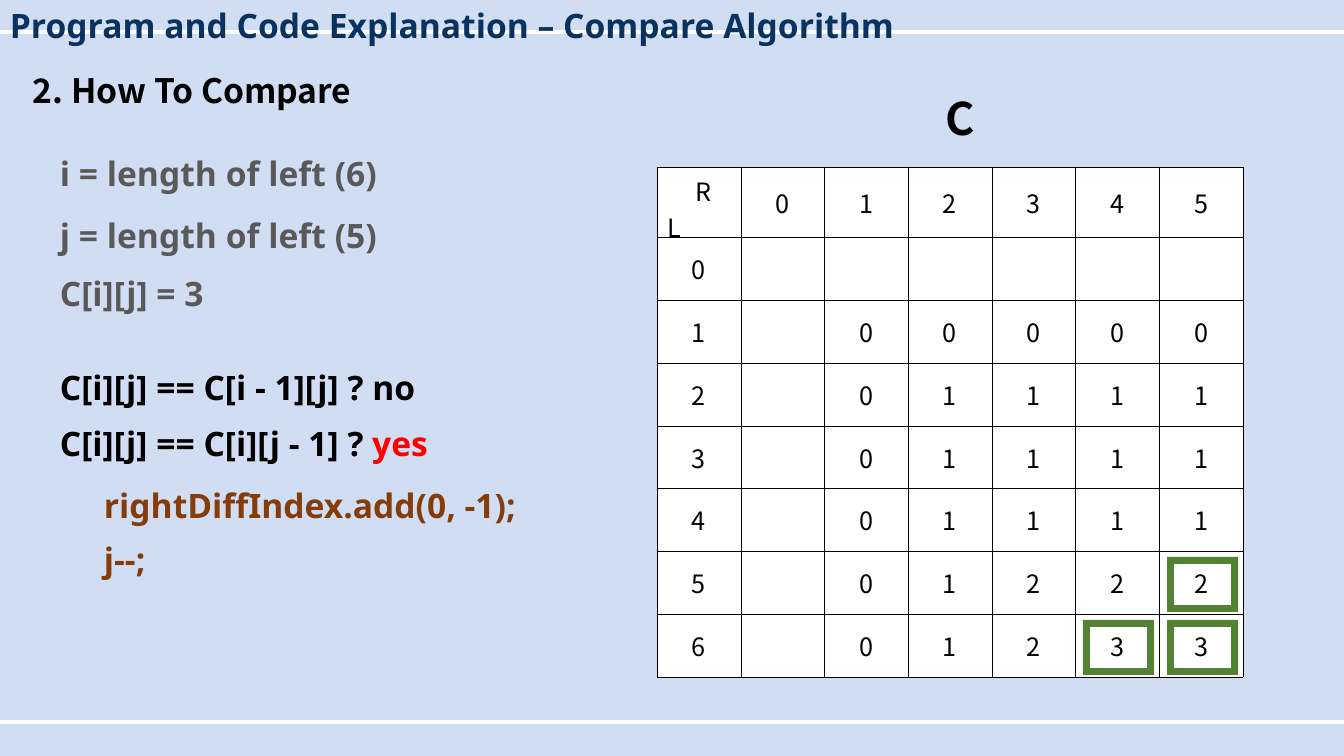
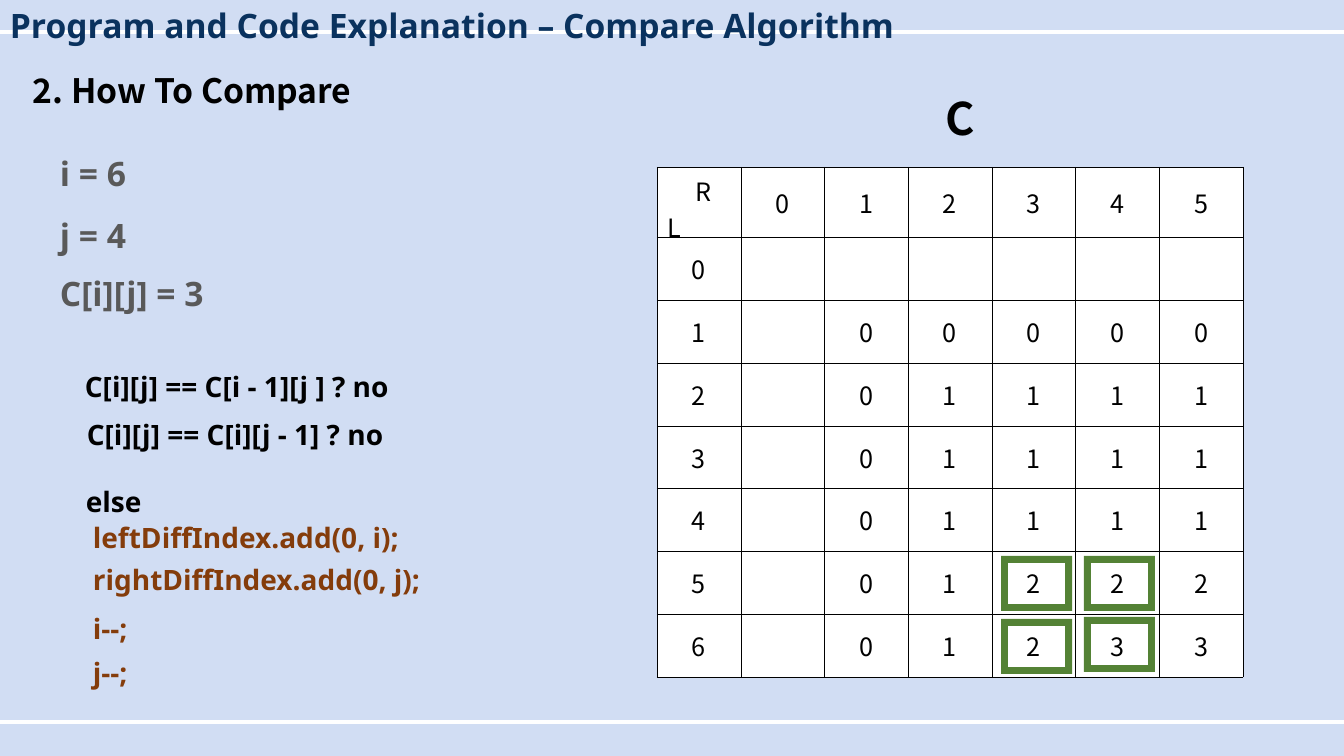
import pptx
import pptx.util
import pptx.dml.color
import pptx.enum.shapes
import pptx.enum.text
import pptx.oxml.ns
import lxml.etree

RGB = pptx.dml.color.RGBColor
BACKGROUND = RGB(0xD1, 0xDD, 0xF3)
WHITE = RGB(0xFF, 0xFF, 0xFF)
BLACK = RGB(0, 0, 0)
NAVY = RGB(0x0A, 0x32, 0x5E)
GRAY = RGB(0x59, 0x59, 0x59)
BROWN = RGB(0x84, 0x3C, 0x0B)
RED = RGB(0xFF, 0, 0)
GREEN = RGB(0x54, 0x82, 0x35)
SANS = "Noto Sans"
CJK = "Noto Sans CJK KR"

SLIDE_W, SLIDE_H = 1344, 756
RULE_TOPS = (32, 722)
TABLE_X, TABLE_Y, TABLE_W, TABLE_H = 657, 167, 586, 510
ROW_H = 62.75
CORNER_INDENT = 28
FRAME_W, FRAME_H = 71, 55
LINE_HEIGHTS = {20: 44, 24: 50, 32: 64}

TITLE = "Program and Code Explanation – Compare Algorithm"
HEADING = "2. How To Compare"
GRID = [
    ["", "0", "1", "2", "3", "4", "5"],
    ["0", "", "", "", "", "", ""],
    ["1", "", "0", "0", "0", "0", "0"],
    ["2", "", "0", "1", "1", "1", "1"],
    ["3", "", "0", "1", "1", "1", "1"],
    ["4", "", "0", "1", "1", "1", "1"],
    ["5", "", "0", "1", "2", "2", "2"],
    ["6", "", "0", "1", "2", "3", "3"],
]
STATE_TOPS = (148, 210, 268)

SLIDES = [
    {
        "state": ["i = length of left (6)", "j = length of left (5)", "C[i][j] = 3"],
        "size": 24,
        "steps": [
            (50, 362, [("C[i][j] == C[i - 1][j] ? no", BLACK)]),
            (50, 418, [("C[i][j] == C[i][j - 1] ? ", BLACK), ("yes", RED)]),
            (94, 480, [("rightDiffIndex.add(0, -1);", BROWN)]),
            (94, 534, [("j--;", BROWN)]),
        ],
        "frames": [(1167, 620), (1083, 620), (1167, 557)],
    },
    {
        "state": ["i = 6", "j = 4", "C[i][j] = 3"],
        "size": 20,
        "steps": [
            (75, 365, [("C[i][j] == C[i - 1][j ] ? no", BLACK)]),
            (77, 413, [("C[i][j] == C[i][j - 1] ? no", BLACK)]),
            (76, 480, [("else", BLACK)]),
            (83, 516, [("leftDiffIndex.add(0, i);", BROWN)]),
            (83, 558, [("rightDiffIndex.add(0, j);", BROWN)]),
            (83, 607, [("i--;", BROWN)]),
            (83, 651, [("j--;", BROWN)]),
        ],
        "frames": [(1084, 617), (1001, 556), (1001, 619), (1084, 556)],
    },
]


def px(n):
    return pptx.util.Emu(round(n * 914400 / 100.8))


def add_run(p, text, size, color, font, bold=False):
    r = p.add_run()
    r.text = text
    r.font.size = pptx.util.Pt(size)
    r.font.name = font
    r.font.bold = bold
    r.font.color.rgb = color


def add_text(s, x, y, w, size, runs, font=SANS, align=None):
    tb = s.shapes.add_textbox(px(x), px(y), px(w), px(LINE_HEIGHTS[size]))
    tf = tb.text_frame
    tf.word_wrap = True
    p = tf.paragraphs[0]
    p.alignment = align
    for text, color in runs:
        add_run(p, text, size, color, font, True)


def add_rule(s, y):
    ln = s.shapes.add_connector(
        pptx.enum.shapes.MSO_CONNECTOR.STRAIGHT, 0, px(y), px(SLIDE_W), px(y))
    ln.line.color.rgb = WHITE
    ln.line.width = pptx.util.Pt(3)
    lxml.etree.SubElement(ln._element.spPr, pptx.oxml.ns.qn("a:effectLst"))


def set_borders(cell):
    tcPr = cell._tc.get_or_add_tcPr()
    for i, side in enumerate(("lnL", "lnR", "lnT", "lnB")):
        ln = lxml.etree.Element(pptx.oxml.ns.qn("a:" + side), w="3175")
        fill = lxml.etree.SubElement(ln, pptx.oxml.ns.qn("a:solidFill"))
        lxml.etree.SubElement(fill, pptx.oxml.ns.qn("a:srgbClr"), val=str(BLACK))
        tcPr.insert(i, ln)


def add_grid(s):
    gf = s.shapes.add_table(len(GRID), len(GRID[0]), px(TABLE_X), px(TABLE_Y),
                            px(TABLE_W), px(TABLE_H))
    table = gf.table
    table.first_row = False
    table.horz_banding = False
    for col in table.columns:
        col.width = px(TABLE_W / len(GRID[0]))
    for row in table.rows:
        row.height = px(ROW_H)
    gf.height = px(TABLE_H)
    for i, values in enumerate(GRID):
        for j, value in enumerate(values):
            cell = table.cell(i, j)
            cell.fill.solid()
            cell.fill.fore_color.rgb = WHITE
            set_borders(cell)
            if value:
                cell.vertical_anchor = pptx.enum.text.MSO_ANCHOR.MIDDLE
                p = cell.text_frame.paragraphs[0]
                p.alignment = pptx.enum.text.PP_ALIGN.CENTER
                add_run(p, value, 18, BLACK, CJK)
    tf = table.cell(0, 0).text_frame
    p = tf.paragraphs[0]
    p._p.get_or_add_pPr().set("marL", str(px(CORNER_INDENT)))
    add_run(p, "R", 18, BLACK, CJK)
    add_run(tf.add_paragraph(), "L", 18, BLACK, CJK)


def add_frame(s, x, y):
    sp = s.shapes.add_shape(pptx.enum.shapes.MSO_SHAPE.FRAME,
                            px(x), px(y), px(FRAME_W), px(FRAME_H))
    sp.shadow.inherit = False
    sp.fill.solid()
    sp.fill.fore_color.rgb = GREEN
    sp.line.fill.background()


def add_slide(prs, content):
    s = prs.slides.add_slide(prs.slide_layouts[6])
    for y in RULE_TOPS:
        add_rule(s, y)
    add_text(s, 0, 0, 1111, 24, [(TITLE, NAVY)])
    add_text(s, 23, 65, 835, 24, [(HEADING, BLACK)], CJK)
    add_grid(s)
    add_text(s, 728, 86, 464, 32, [("C", BLACK)], CJK,
             pptx.enum.text.PP_ALIGN.CENTER)
    for y, text in zip(STATE_TOPS, content["state"]):
        add_text(s, 50, y, 375, 24, [(text, GRAY)])
    for x, y, runs in content["steps"]:
        add_text(s, x, y, 487, content["size"], runs)
    for x, y in content["frames"]:
        add_frame(s, x, y)


def main():
    prs = pptx.Presentation()
    prs.slide_width = px(SLIDE_W)
    prs.slide_height = px(SLIDE_H)
    fill = prs.slide_master.background.fill
    fill.solid()
    fill.fore_color.rgb = BACKGROUND
    for content in SLIDES:
        add_slide(prs, content)
    prs.save("out.pptx")


if __name__ == "__main__":
    main()
